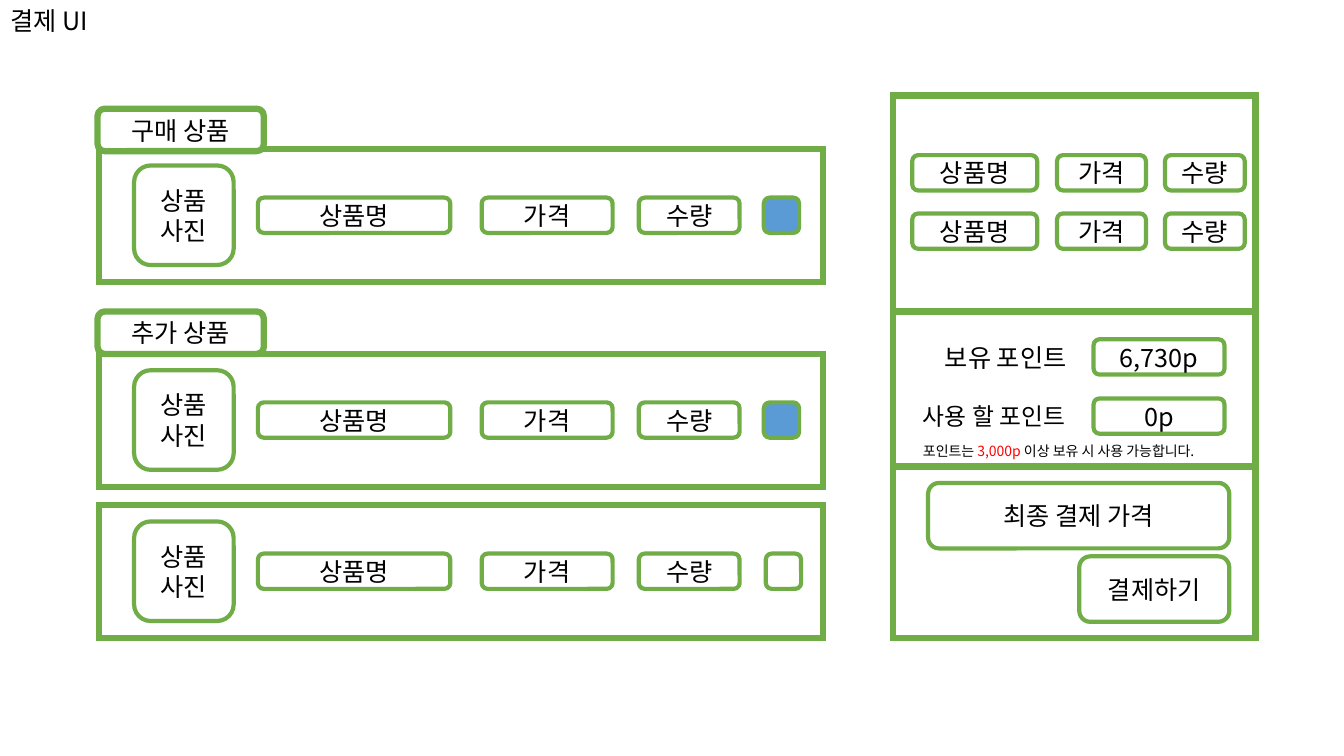
from dataclasses import dataclass

from lxml import etree
from pptx import Presentation
from pptx.dml.color import RGBColor
from pptx.enum.shapes import MSO_SHAPE
from pptx.enum.text import MSO_ANCHOR, MSO_AUTO_SIZE, PP_ALIGN
from pptx.oxml.ns import qn
from pptx.util import Cm, Pt

RECTANGLE = MSO_SHAPE.RECTANGLE
ROUNDED = MSO_SHAPE.ROUNDED_RECTANGLE
LEFT, CENTER = PP_ALIGN.LEFT, PP_ALIGN.CENTER
TOP, MIDDLE = MSO_ANCHOR.TOP, MSO_ANCHOR.MIDDLE
NO_FIT = MSO_AUTO_SIZE.NONE
TITLE_ONLY = 5


@dataclass(frozen=True)
class Theme:
    """Colours, font, type sizes and line widths of the page."""
    green: RGBColor = RGBColor(0x70, 0xAD, 0x47)
    blue: RGBColor = RGBColor(0x5B, 0x9B, 0xD5)
    white: RGBColor = RGBColor(0xFF, 0xFF, 0xFF)
    black: RGBColor = RGBColor(0, 0, 0)
    red: RGBColor = RGBColor(0xFF, 0, 0)
    font: str = "Noto Sans CJK KR"
    body: Pt = Pt(18)
    label: Pt = Pt(17)
    note: Pt = Pt(10)
    thick: Pt = Pt(4.5)
    thin: Pt = Pt(3)


THEME = Theme()
FIELD_HEIGHT = 0.89
PRODUCT_FIELDS = (("상품명", 6.5, 4.85), ("가격", 12.14, 3.3), ("수량", 16.1, 2.54))
SUMMARY_FIELDS = (("상품명", 22.99, 3.15), ("가격", 26.64, 2.24), ("수량", 29.36, 2.01))
SIDE_LEFT, SIDE_WIDTH = 22.5, 9.14


def apply(target, values):
    """Set each named attribute of the target."""
    for name, value in values.items():
        setattr(target, name, value)


def write(box, paragraphs, size=THEME.body, align=CENTER, anchor=MIDDLE):
    """Fill a box with paragraphs made of (text, colour) spans."""
    frame = box.text_frame
    apply(frame, {"auto_size": NO_FIT, "word_wrap": True, "vertical_anchor": anchor})
    for index, spans in enumerate(paragraphs):
        para = frame.add_paragraph() if index else frame.paragraphs[0]
        para.alignment = align
        for text, colour in spans:
            span = para.add_run()
            span.text = text
            apply(span.font, {"size": size, "name": THEME.font})
            span.font.color.rgb = colour
            east_asian = etree.SubElement(span.font._element, qn("a:ea"))
            east_asian.set("typeface", THEME.font)


def add_box(page, kind, area, text="", fill=THEME.white, width=THEME.thin):
    """Draw a green-edged box with one centred paragraph per text line."""
    box = page.shapes.add_shape(kind, *map(Cm, area))
    box.shadow.inherit = False
    box.fill.solid()
    box.fill.fore_color.rgb = fill
    box.line.color.rgb = THEME.green
    box.line.width = width
    if kind == RECTANGLE:
        etree.SubElement(box.line._ln, qn("a:miter")).set("lim", "800000")
    if text:
        write(box, [[(line, THEME.black)] for line in text.split("\n")])


def add_panel(page, left, top, width, height):
    """Draw a thick square-cornered panel."""
    add_box(page, RECTANGLE, (left, top, width, height), width=THEME.thick)


def add_label(page, area, spans, size, align=LEFT):
    """Add a plain one-line text box."""
    box = page.shapes.add_textbox(*map(Cm, area))
    write(box, [spans], size, align, TOP)


def add_fields(page, fields, top):
    """Draw a row of rounded fields."""
    for text, left, width in fields:
        add_box(page, ROUNDED, (left, top, width, FIELD_HEIGHT), text)


def add_product(page, top, check_left, check_fill):
    """Draw a product panel with photo, fields and check box."""
    add_panel(page, 2.49, top, 18.26, 3.35)
    add_box(page, ROUNDED, (3.38, top + 0.41, 2.51, 2.51), "상품\n사진")
    field_top = top + 1.22
    add_fields(page, PRODUCT_FIELDS, field_top)
    add_box(page, ROUNDED, (check_left, field_top, FIELD_HEIGHT, FIELD_HEIGHT), fill=check_fill)


def add_tab(page, top, text):
    """Draw the heading tab of a product group."""
    add_box(page, ROUNDED, (2.46, top, 4.19, 1.07), text, width=THEME.thick)


def add_title(page, text):
    """Move the title placeholder to the corner and fill it."""
    title = page.shapes.title
    area = zip(("left", "top", "width", "height"), map(Cm, (0, 0, 5.49, 1.02)))
    apply(title, dict(area))
    write(title, [[(text, THEME.black)]], align=LEFT, anchor=TOP)


def add_summary(page):
    """Draw the order summary, points and payment column."""
    add_panel(page, SIDE_LEFT, 2.39, SIDE_WIDTH, 13.69)
    add_panel(page, SIDE_LEFT, 2.41, SIDE_WIDTH, 6.5)
    for top in (3.91, 5.38):
        add_fields(page, SUMMARY_FIELDS, top)
    add_panel(page, SIDE_LEFT, 7.85, SIDE_WIDTH, 3.91)
    points = (
        ("보유 포인트", "6,730p", 8.51, THEME.body, CENTER),
        ("사용 할 포인트", "0p", 10, THEME.label, LEFT),
    )
    for label, value, top, size, align in points:
        add_label(page, (23.01, top, 4.67, 1.02), [(label, THEME.black)], size, align)
        add_fields(page, [(value, 27.56, 3.3)], top + 0.04)
    note = [("포인트는 ", THEME.black), ("3,000p ", THEME.red),
            ("이상 보유 시 사용 가능합니다.", THEME.black)]
    add_label(page, (23.01, 11.02, 8.26, 0.71), note, THEME.note)
    add_box(page, ROUNDED, (23.39, 12.17, 7.59, 1.65), "최종 결제 가격")
    add_box(page, ROUNDED, (27.2, 14.02, 3.78, 1.65), "결제하기")


def main():
    """Build the payment page and save the deck."""
    deck = Presentation()
    apply(deck, {"slide_width": Cm(33.87), "slide_height": Cm(19.05)})
    page = deck.slides.add_slide(deck.slide_layouts[TITLE_ONLY])
    add_title(page, "결제 UI")
    products = ((3.76, 19.25, THEME.blue), (8.92, 19.25, THEME.blue), (12.73, 19.3, THEME.white))
    for top, check_left, check_fill in products:
        add_product(page, top, check_left, check_fill)
    add_tab(page, 2.74, "구매 상품")
    add_tab(page, 7.85, "추가 상품")
    add_summary(page)
    deck.save("out.pptx")


if __name__ == "__main__":
    main()
